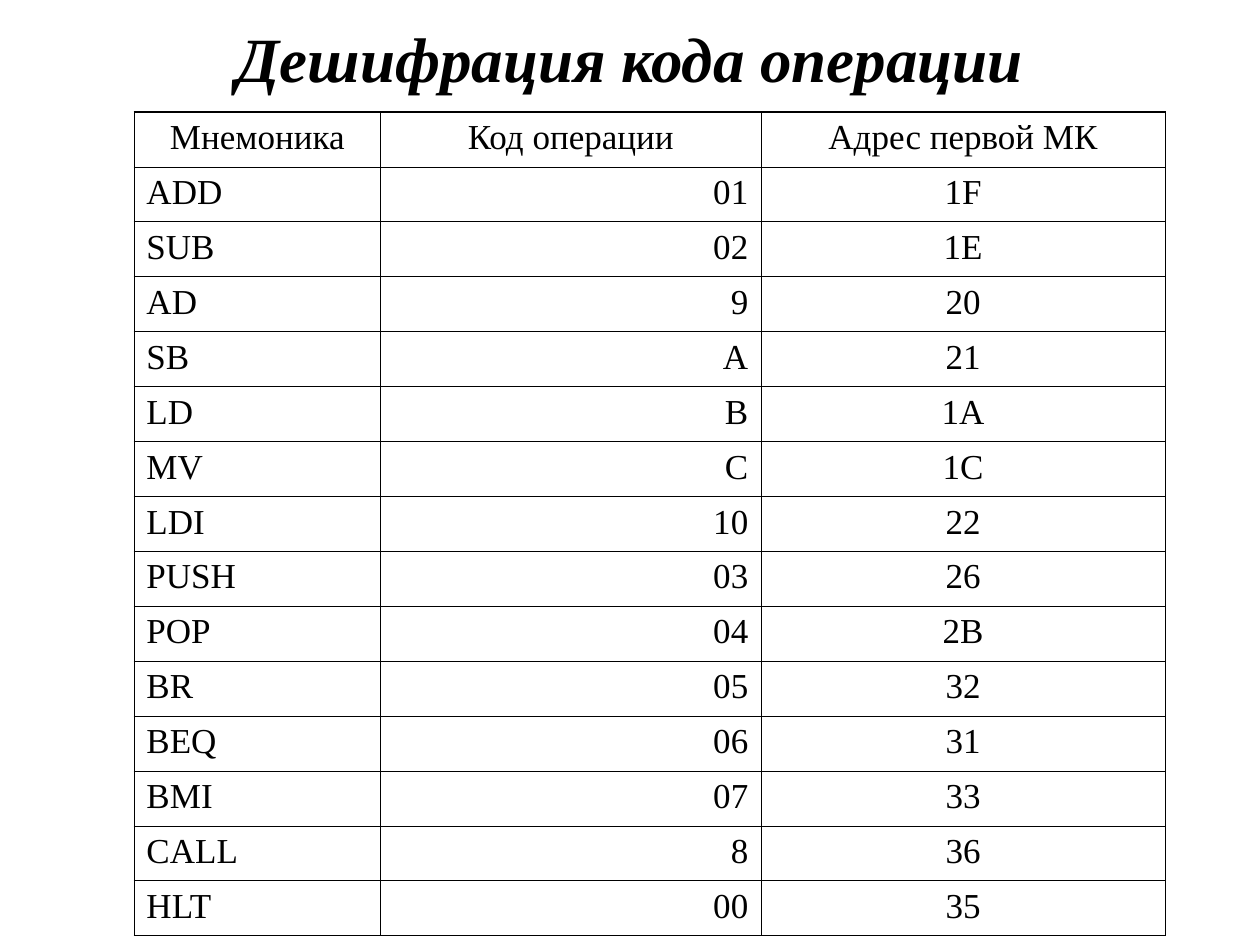
from lxml.etree import SubElement
from pptx import Presentation
from pptx.dml.color import RGBColor
from pptx.enum.text import MSO_ANCHOR, MSO_AUTO_SIZE, PP_ALIGN
from pptx.oxml.ns import qn
from pptx.util import Pt

BLACK = RGBColor(0, 0, 0)
WHITE = RGBColor(255, 255, 255)

HEADER = ("Мнемоника", "Код операции", "Адрес первой МК")
OPERATIONS = [
    ("ADD", "01", "1F"),
    ("SUB", "02", "1E"),
    ("AD", "9", "20"),
    ("SB", "A", "21"),
    ("LD", "B", "1A"),
    ("MV", "C", "1C"),
    ("LDI", "10", "22"),
    ("PUSH", "03", "26"),
    ("POP", "04", "2B"),
    ("BR", "05", "32"),
    ("BEQ", "06", "31"),
    ("BMI", "07", "33"),
    ("CALL", "8", "36"),
    ("HLT", "00", "35"),
]
COLUMN_ALIGNS = (PP_ALIGN.LEFT, PP_ALIGN.RIGHT, PP_ALIGN.CENTER)
COLUMN_WIDTHS = (141.1, 217.2, 231.1)
ROW_HEIGHT = 31.4


class SlideBuilder:
    font = "Times New Roman"
    title_size = 36
    table_size = 20
    hanging = 27
    thin, thick = 0.45, 0.96

    def __init__(self, slide):
        self.s = slide
        fill = slide.background.fill
        fill.solid()
        fill.fore_color.rgb = WHITE

    def run(self, p, text, size, bold=False, italic=False):
        r = p.add_run()
        r.text = text
        r.font.name = self.font
        r.font.size = Pt(size)
        r.font.bold = bold
        r.font.italic = italic
        r.font.color.rgb = BLACK

    def title(self, text, left, top, width, height):
        sp = self.s.shapes.title
        sp.left, sp.top, sp.width, sp.height = map(Pt, (left, top, width, height))
        tf = sp.text_frame
        tf.word_wrap = True
        tf.auto_size = MSO_AUTO_SIZE.NONE
        tf.vertical_anchor = MSO_ANCHOR.MIDDLE
        p = tf.paragraphs[0]
        p.alignment = PP_ALIGN.CENTER
        self.run(p, text, self.title_size, bold=True, italic=True)

    def border(self, cell, side, width):
        """Draw one side of a cell; sides go in the order L, R, T, B, before the fill."""
        ln = SubElement(cell._tc.get_or_add_tcPr(), qn(f"a:ln{side}"), w=str(Pt(width)))
        SubElement(SubElement(ln, qn("a:solidFill")), qn("a:srgbClr"), val=str(BLACK))

    def cell(self, cell, text, align, top_width):
        for side in "LRTB":
            self.border(cell, side, top_width if side == "T" else self.thin)
        cell.fill.background()
        cell.margin_left = cell.margin_right = Pt(7.2)
        cell.margin_top = cell.margin_bottom = Pt(3.6)
        p = cell.text_frame.paragraphs[0]
        p.alignment = align
        pPr = p._p.get_or_add_pPr()
        pPr.set("marL", str(Pt(self.hanging)))
        pPr.set("indent", str(-Pt(self.hanging)))
        self.run(p, text, self.table_size)

    def table(self, header, rows, left, top, widths, row_height, aligns):
        lines = [header, *rows]
        table = self.s.shapes.add_table(
            len(lines), len(widths), Pt(left), Pt(top),
            Pt(sum(widths)), Pt(row_height * len(lines))).table
        table.first_row = table.horz_banding = False
        for column, width in zip(table.columns, widths):
            column.width = Pt(width)
        for i, (row, texts) in enumerate(zip(table.rows, lines)):
            row.height = Pt(row_height)
            for cell, text, align in zip(row.cells, texts, aligns):
                if i == 0:
                    self.cell(cell, text, PP_ALIGN.CENTER, self.thick)
                else:
                    self.cell(cell, text, align, self.thin)


def main():
    prs = Presentation()
    prs.slide_width, prs.slide_height = Pt(720), Pt(540)
    builder = SlideBuilder(prs.slides.add_slide(prs.slide_layouts[5]))
    builder.title("Дешифрация кода операции", 54, 18, 612, 29.5)
    builder.table(HEADER, OPERATIONS, 76.5, 64, COLUMN_WIDTHS, ROW_HEIGHT, COLUMN_ALIGNS)
    prs.save("out.pptx")


if __name__ == "__main__":
    main()
